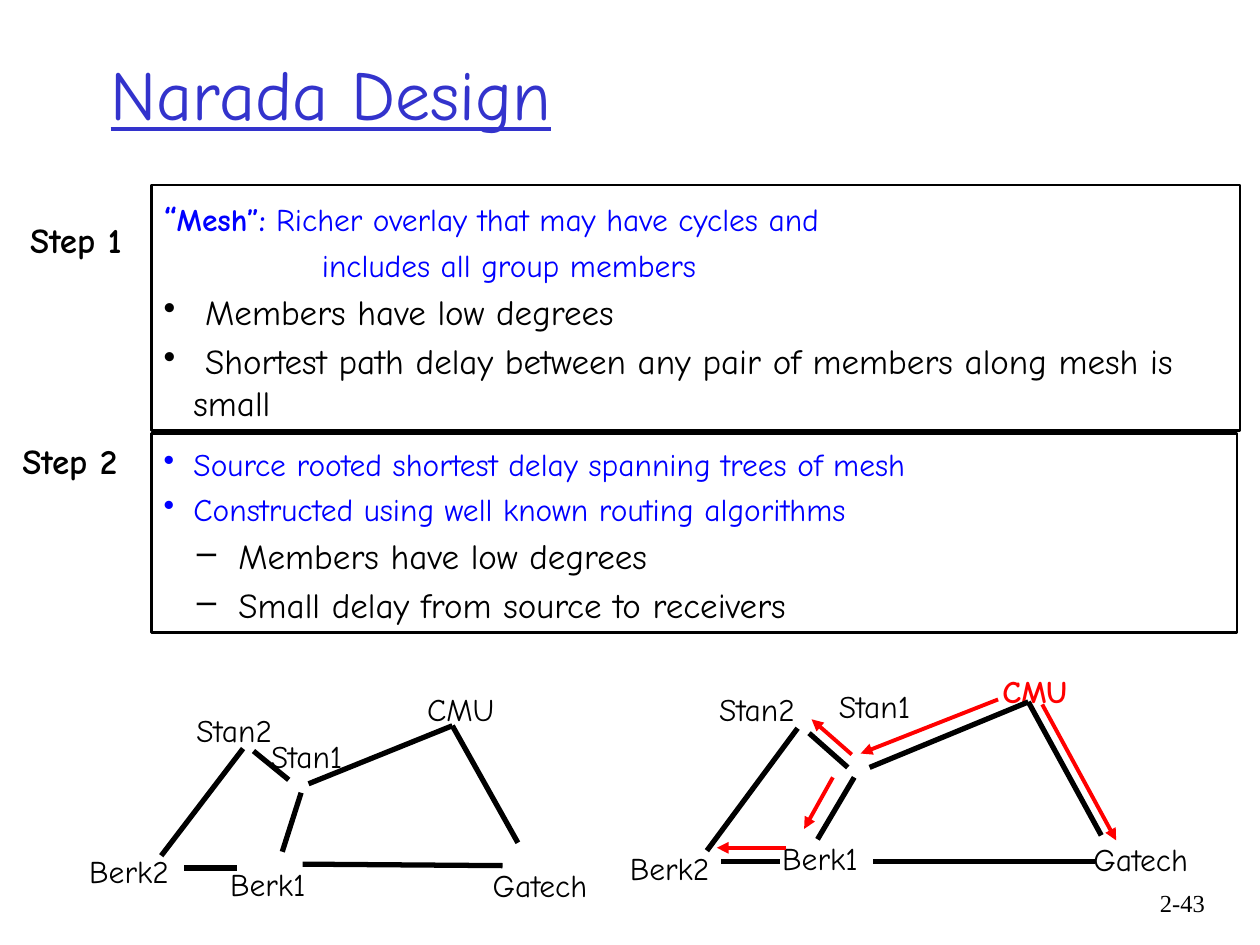
from lxml.etree import SubElement
from pptx import Presentation
from pptx.dml.color import RGBColor
from pptx.enum.shapes import MSO_CONNECTOR, MSO_SHAPE
from pptx.enum.text import MSO_ANCHOR, PP_ALIGN
from pptx.oxml.ns import qn
from pptx.util import Cm, Pt

BLACK = RGBColor(0x00, 0x00, 0x00)
WHITE = RGBColor(0xFF, 0xFF, 0xFF)
BLUE = RGBColor(0x00, 0x00, 0xFF)
INDIGO = RGBColor(0x33, 0x33, 0xCC)
RED = RGBColor(0xFF, 0x00, 0x00)

BASE = {"name": "Comic Neue", "size": Pt(18), "bold": False}
LARGE = BASE | {"size": Pt(20)}
STRONG = BASE | {"bold": True}
STEP = LARGE | {"bold": True}
TITLE = BASE | {"size": Pt(40), "underline": True}
PAGE = {"name": "Times New Roman", "size": Pt(14)}

LABELS = [
    ("Berk2", 1.55, 16.99, BLACK, BASE),
    ("Berk1", 4.39, 17.25, BLACK, BASE),
    ("CMU", 8.36, 13.72, BLACK, BASE),
    ("Gatech", 9.68, 17.27, BLACK, BASE),
    ("Stan1", 5.21, 14.68, BLACK, BASE),
    ("Stan2", 3.71, 14.15, BLACK, BASE),
    ("CMU", 19.96, 13.36, RED, STRONG),
    ("Berk2", 12.45, 16.94, BLACK, BASE),
    ("Gatech", 21.79, 16.76, BLACK, BASE),
    ("Berk1", 15.52, 16.74, BLACK, BASE),
    ("Stan1", 16.66, 13.67, BLACK, BASE),
    ("Stan2", 14.25, 13.72, BLACK, BASE),
]

EDGES = [
    (9.12, 14.63, 6.22, 15.8),
    (9.12, 14.63, 10.44, 16.99),
    (5.82, 15.72, 5.11, 15.14),
    (6.07, 15.98, 5.69, 17.17),
    (6.1, 17.42, 10.13, 17.45),
    (4.78, 17.5, 3.71, 17.5),
    (4.9, 15.09, 3.25, 17.25),
    (20.73, 14.15, 17.53, 15.47),
    (20.73, 14.15, 22.2, 16.84),
    (17.09, 15.47, 16.31, 14.78),
    (17.22, 15.67, 16.48, 16.92),
    (17.6, 17.37, 22.07, 17.37),
    (15.72, 17.37, 14.53, 17.37),
    (16.08, 14.68, 14.25, 17.15),
]

ROUTES = [
    (16.79, 15.67, 16.21, 16.71),
    (21.01, 14.2, 22.5, 16.94),
    (15.85, 17.09, 14.45, 17.09),
    (17.17, 15.21, 16.36, 14.5),
    (20.12, 14.1, 17.35, 15.19),
]

MESH = [
    ([("“", BLUE, STEP), ("Mesh”:", BLUE, STRONG),
      (" Richer overlay that may have cycles and", BLUE, BASE)], None, 0, 0),
    ([("includes all group members", BLUE, BASE)], None, 3.19, 0),
    ([(" Members have low degrees", BLACK, LARGE)], "•", 0.6, -0.6),
    ([(" Shortest path delay between any pair of members along mesh is small",
       BLACK, LARGE)], "•", 0.6, -0.6),
]

TREES = [
    ([("Source rooted shortest delay spanning trees of mesh", BLUE, BASE)],
     "•", 0.6, -0.6),
    ([("Constructed using well known routing algorithms", BLUE, BASE)],
     "•", 0.6, -0.6),
    ([(" Members have low degrees", BLACK, LARGE)], "–", 1.27, -0.6),
    ([(" Small delay from source to receivers", BLACK, LARGE)],
     "–", 1.27, -0.6),
]


def add_run(para, text, color, form):
    """Add a run with the given colour and format values."""
    run = para.add_run()
    run.text = text
    for key, value in form.items():
        setattr(run.font, key, value)
    run.font.color.rgb = color


def add_text(slide, text, place, color, form,
             align=PP_ALIGN.LEFT, anchor=MSO_ANCHOR.MIDDLE, top=0.23):
    """Add a text box that holds one line."""
    frame = slide.shapes.add_textbox(*map(Cm, place)).text_frame
    frame.word_wrap = True
    frame.vertical_anchor = anchor
    frame.margin_top = Cm(top)
    para = frame.paragraphs[0]
    para.alignment = align
    add_run(para, text, color, form)


def add_panel(slide, place, items):
    """Add a framed box with a list of paragraphs."""
    shape = slide.shapes.add_shape(MSO_SHAPE.RECTANGLE, *map(Cm, place))
    shape.shadow.inherit = False
    shape.fill.solid()
    shape.fill.fore_color.rgb = WHITE
    shape.line.color.rgb = BLACK
    shape.line.width = Pt(1.5)
    frame = shape.text_frame
    frame.word_wrap = True
    frame.vertical_anchor = MSO_ANCHOR.MIDDLE
    frame.margin_top = Cm(0.23)
    for order, (runs, mark, left, hang) in enumerate(items):
        para = frame.add_paragraph() if order else frame.paragraphs[0]
        props = para._p.get_or_add_pPr()
        props.set("marL", str(Cm(left)))
        props.set("indent", str(Cm(hang)))
        if mark:
            SubElement(props, qn("a:buChar"), char=mark)
        para.alignment = PP_ALIGN.LEFT
        para.space_before = Pt(4 if order else 0)
        for run in runs:
            add_run(para, *run)


def add_line(slide, ends, color, width, arrow=False):
    """Add a straight line, with an arrowhead at its end if asked."""
    line = slide.shapes.add_connector(MSO_CONNECTOR.STRAIGHT, *map(Cm, ends))
    line.line.color.rgb = color
    line.line.width = Pt(width)
    if arrow:
        SubElement(line.get_or_add_ln(), qn("a:tailEnd"), type="triangle")
    SubElement(line.element.spPr, qn("a:effectLst"))


def main():
    """Build the slide and save it."""
    deck = Presentation()
    deck.slide_width, deck.slide_height = Cm(25.4), Cm(19.05)
    slide = deck.slides.add_slide(deck.slide_layouts[6])
    add_text(slide, "2-43", (22.66, 17.78, 1.88, 1.27), BLACK, PAGE,
             PP_ALIGN.RIGHT, MSO_ANCHOR.TOP, 0.13)
    add_text(slide, "Narada Design", (1.98, 0.69, 21.59, 2.34), INDIGO, TITLE,
             top=0.13)
    for text, left, top, color, form in LABELS:
        add_text(slide, text, (left, top, 2.7, 1.02), color, form)
    for ends in EDGES:
        add_line(slide, ends, BLACK, 3)
    for ends in ROUTES:
        add_line(slide, ends, RED, 2.25, True)
    add_panel(slide, (3.05, 8.74, 21.89, 4.01), TREES)
    add_panel(slide, (3.05, 3.73, 21.95, 4.95), MESH)
    add_text(slide, "Step 1", (0.36, 4.24, 2.7, 1.09), BLACK, STEP)
    add_text(slide, "Step 2", (0.2, 8.69, 2.7, 1.09), BLACK, STEP)
    deck.save("out.pptx")


if __name__ == "__main__":
    main()
